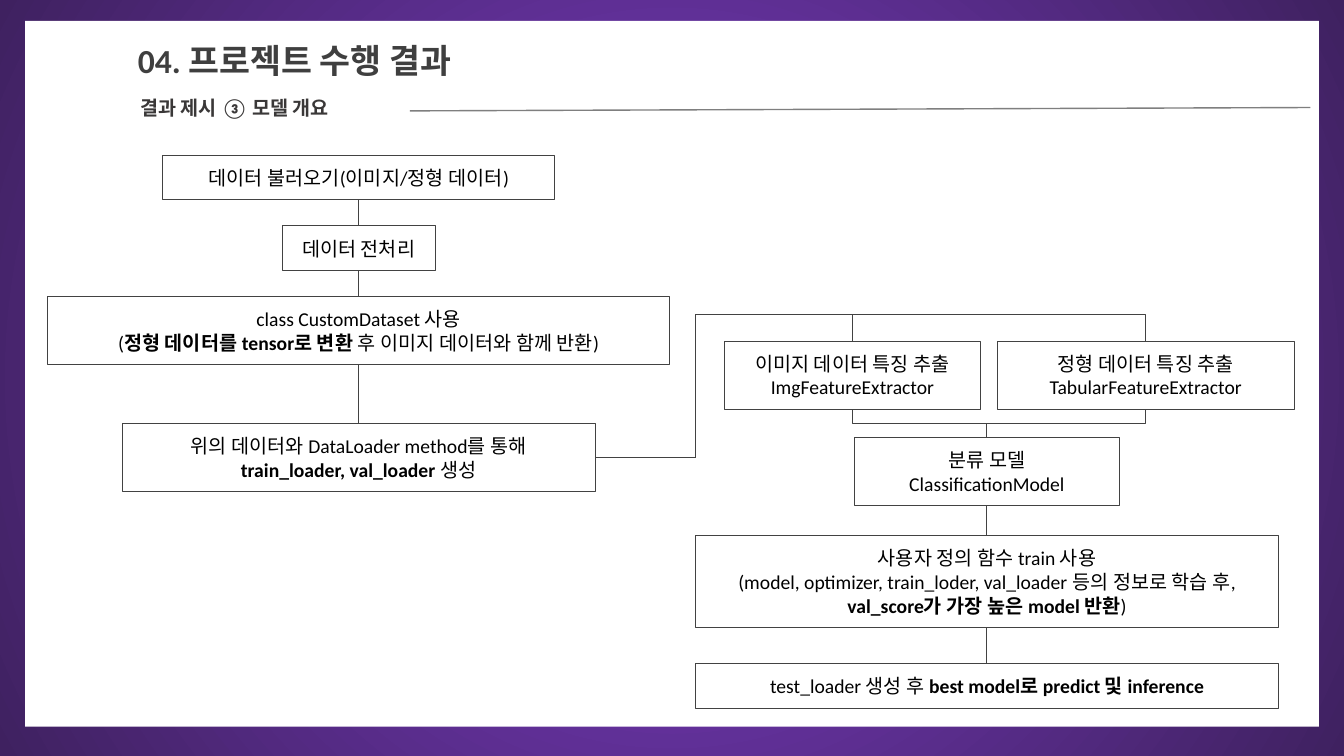
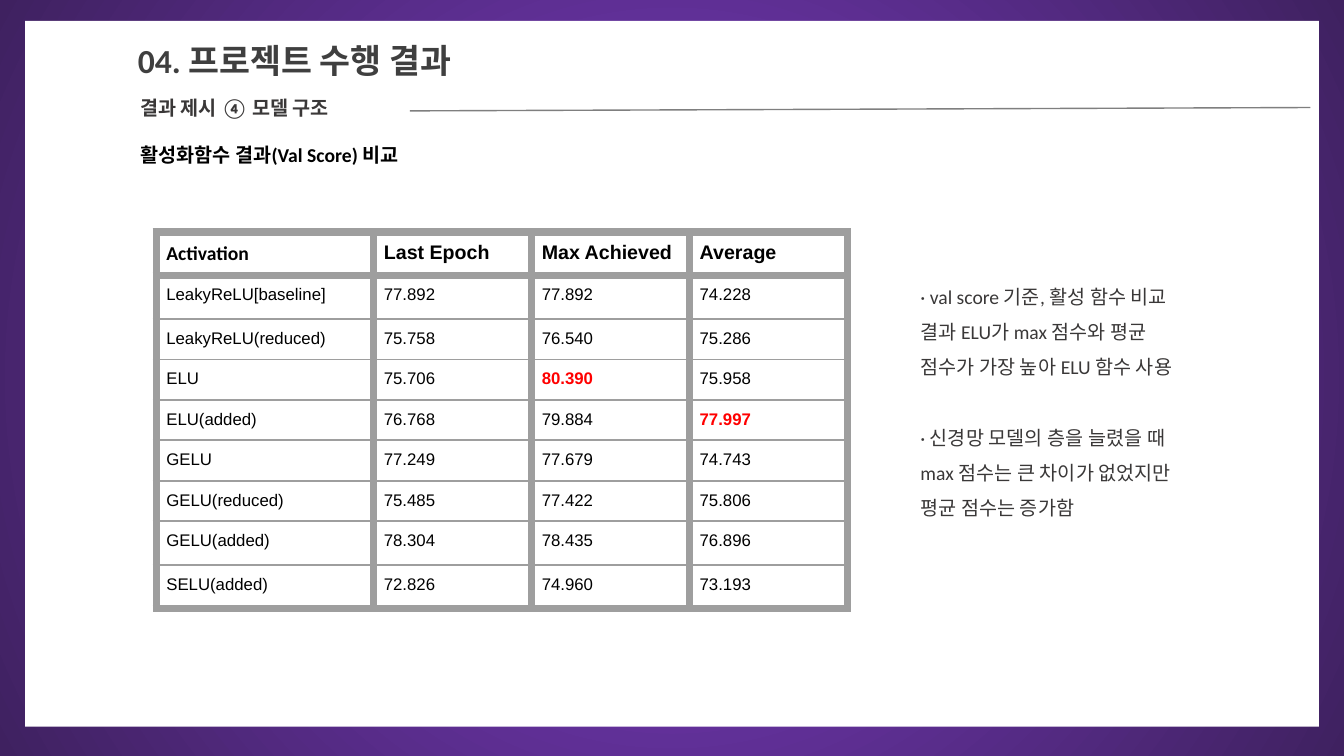
import pptx
import pptx.dml.color
import pptx.enum.shapes
import pptx.enum.text
import pptx.oxml
import pptx.oxml.ns
import pptx.util

RGB = pptx.dml.color.RGBColor
WHITE = RGB(0xFF, 0xFF, 0xFF)
BLACK = RGB(0, 0, 0)
RED = RGB(0xFF, 0, 0)
VIOLET = RGB(0x7E, 0x3D, 0xC8)
PLUM = RGB(0x3F, 0x21, 0x60)
TITLE = RGB(0x3F, 0x3F, 0x3F)
INK = RGB(0x3A, 0x38, 0x38)
EDGE = RGB(0x42, 0x42, 0x42)
RULE = RGB(0x7F, 0x7F, 0x7F)
GRID = RGB(0x9E, 0x9E, 0x9E)

Inches, Pt = pptx.util.Inches, pptx.util.Pt
Align = pptx.enum.text.PP_ALIGN
Anchor = pptx.enum.text.MSO_ANCHOR
Link = pptx.enum.shapes.MSO_CONNECTOR
RECT = pptx.enum.shapes.MSO_SHAPE.RECTANGLE
qn = pptx.oxml.ns.qn
TOP, LEFT, BOTTOM, RIGHT = range(4)
COLS, ROWS = 160, 90


def xml(tag, inner="", **attrs):
    names = "".join(f' {key}="{value}"' for key, value in attrs.items())
    space = pptx.oxml.ns.nsdecls("a")
    return pptx.oxml.parse_xml(f"<a:{tag} {space}{names}>{inner}</a:{tag}>")


def write(frame, *lines, size=14, font="Calibri", color=BLACK, bold=False,
          align=Align.LEFT, anchor=Anchor.TOP, pad=0.1, pitch=None, gap=0):
    """Fill a text frame, one paragraph a line; ** switches bold on and off."""
    frame.word_wrap = True
    frame.vertical_anchor = anchor
    frame.margin_left = frame.margin_right = Inches(0.1)
    frame.margin_top = frame.margin_bottom = Inches(pad)
    for i, line in enumerate(lines):
        para = frame.add_paragraph() if i else frame.paragraphs[0]
        para.alignment = align
        if pitch:
            para.line_spacing = pitch
        if i and gap:
            para.space_before = Pt(gap)
        for j, part in enumerate(line.split("**")):
            if not part:
                continue
            run = para.add_run()
            run.text = part
            run.font.size = Pt(size)
            run.font.bold = bold or j % 2 == 1
            run.font.color.rgb = color
            run.font.name = font
            run.font._element.append(xml("ea", typeface=font))


class Deck:
    """Slides on a grid of COLS by ROWS, with one shared style."""

    def __init__(self):
        self.show = pptx.Presentation()
        self.show.slide_width = Inches(13.33)
        self.show.slide_height = Inches(7.5)
        self.slide = None

    def x(self, cols):
        return round(self.show.slide_width * cols / COLS)

    def y(self, rows):
        return round(self.show.slide_height * rows / ROWS)

    def area(self, left, top, width, height):
        return self.x(left), self.y(top), self.x(width), self.y(height)

    def page(self, title, topic):
        """Start a slide with its backdrop, panel, title, topic and rule."""
        self.slide = self.show.slides.add_slide(self.show.slide_layouts[5])
        fill = self.slide.background.fill
        fill.gradient()
        for stop, color in zip(fill.gradient_stops, (VIOLET, PLUM)):
            stop.color.rgb = color
        grad = self.slide._element.find(".//" + qn("a:gradFill"))
        grad.replace(grad.find(qn("a:lin")), xml(
            "path", '<a:fillToRect l="50000" t="50000" r="50000" b="50000"/>',
            path="circle"))

        panel = self.rect(3, 2.5, 154, 84)
        panel.fill.solid()
        panel.fill.fore_color.rgb = WHITE
        panel.line.fill.background()
        self.slide.shapes._spTree.insert(2, panel._element)

        head = self.slide.shapes.title
        head.left, head.top, head.width, head.height = self.area(15.2, 4.1, 58, 6)
        head.text_frame.auto_size = pptx.enum.text.MSO_AUTO_SIZE.NONE
        write(head.text_frame, title, size=24, color=TITLE, bold=True, pad=0.05)
        self.note(15.5, 10.8, 36.6, 4, topic, color=INK, bold=True, pad=0.05)
        rule = self.slide.shapes.add_connector(
            Link.STRAIGHT, self.x(48.8), self.y(13.2), self.x(156), self.y(12.8))
        self.stroke(rule, RULE, 1)

    def rect(self, left, top, width, height):
        shape = self.slide.shapes.add_shape(RECT, *self.area(left, top, width, height))
        shape.shadow.inherit = False
        return shape

    def note(self, left, top, width, height, *lines, **style):
        box = self.slide.shapes.add_textbox(*self.area(left, top, width, height))
        write(box.text_frame, *lines, **style)

    def step(self, mid, top, width, *lines, rows=None):
        """Draw a flow box centred on column mid, as tall as its text rows."""
        tall = 2.5 + 2.8 * (rows or len(lines))
        box = self.rect(mid - width / 2, top, width, tall)
        box.fill.background()
        box.line.color.rgb = EDGE
        box.line.width = Pt(0.75)
        write(box.text_frame, *lines, align=Align.CENTER, anchor=Anchor.MIDDLE)
        return box

    def stroke(self, line, color=EDGE, width=0.75):
        line.line.color.rgb = color
        line.line.width = Pt(width)
        line._element.spPr.append(xml("effectLst"))

    def join(self, kind, start, end, side=BOTTOM):
        """Connect a side of start to the top of end."""
        line = self.slide.shapes.add_connector(kind, 0, 0, 0, 0)
        line.begin_connect(start, side)
        line.end_connect(end, TOP)
        self.stroke(line)
        return line

    def drop(self, start, end):
        """Elbow that leaves downwards, runs across and enters from above."""
        line = self.join(Link.ELBOW, start, end)
        x1, y1, x2, y2 = line.begin_x, line.begin_y, line.end_x, line.end_y
        wide, tall = y2 - y1, abs(x2 - x1)
        frame = line._element.spPr.find(qn("a:xfrm"))
        for flip in ("flipH", "flipV"):
            frame.attrib.pop(flip, None)
        line.left, line.top = (x1 + x2 - wide) // 2, (y1 + y2 - tall) // 2
        line.width, line.height = wide, tall
        frame.set("rot", str((270 if x2 > x1 else 90) * 60000))
        if x2 > x1:
            frame.set("flipH", "1")

    def climb(self, start, end, col, row):
        """Elbow from the right side up column col, then along row into a top."""
        line = self.join(Link.ELBOW, start, end, RIGHT)
        across = (self.x(col) - line.begin_x) / (line.end_x - line.begin_x)
        up = (self.y(row) - line.begin_y) / (line.end_y - line.begin_y)
        form = line._element.spPr.find(qn("a:prstGeom"))
        form.set("prst", "bentConnector4")
        bends = form.find(qn("a:avLst"))
        if bends is None:
            bends = xml("avLst")
            form.append(bends)
        for i, share in enumerate((across, up), 1):
            bends.append(xml("gd", name=f"adj{i}", fmla=f"val {round(share * 100000)}"))

    def table(self, left, top, cols, rows, data, marks):
        """Draw a ruled table; marks holds the (row, column) cells in red."""
        frame = self.slide.shapes.add_table(
            len(rows), len(cols), *self.area(left, top, sum(cols), sum(rows)))
        grid = frame.table
        grid.first_row = grid.horz_banding = False
        for col, width in zip(grid.columns, cols):
            col.width = self.x(width)
        last = len(rows) - 1
        for r, values in enumerate(data):
            grid.rows[r].height = self.y(rows[r])
            for c, value in enumerate(values):
                cell, mark = grid.cell(r, c), (r, c) in marks
                write(cell.text_frame, value, size=12 if r else 14,
                      font="Arial" if r or c else "Calibri",
                      color=RED if mark else BLACK, bold=mark or r == 0)
                cell.margin_left = cell.margin_right = Inches(0.1)
                cell.margin_top = cell.margin_bottom = Inches(0.1)
                cell.vertical_anchor = Anchor.TOP
                cell.fill.background()
                self.border(cell, L=6, R=6, T=6 if r < 2 else 1.5,
                            B=6 if r in (0, last) else 1.5)

    def border(self, cell, **sides):
        paint = f'<a:solidFill><a:srgbClr val="{GRID}"/></a:solidFill>'
        props = cell._tc.get_or_add_tcPr()
        for i, (side, width) in enumerate(sides.items()):
            props.insert(i, xml("ln" + side, paint, w=Pt(width)))


def flow(deck):
    deck.page("04. 프로젝트 수행 결과", "결과 제시 ③ 모델 개요")
    west, east = 42.7, 117.5
    load = deck.step(west, 18.5, 46.6, "데이터 불러오기(이미지/정형 데이터)")
    prep = deck.step(west, 26.9, 18.2, "데이터 전처리")
    data = deck.step(west, 35.3, 74, "class CustomDataset 사용",
                     "(**정형 데이터를 tensor로 변환** 후 이미지 데이터와 함께 반환)")
    batch = deck.step(west, 50.4, 56.3, "위의 데이터와 DataLoader method를 통해",
                      "**train_loader, val_loader** 생성")
    image = deck.step(101.5, 40.6, 30.5, "이미지 데이터 특징 추출", "ImgFeatureExtractor")
    tab = deck.step(136.4, 40.6, 35.4, "정형 데이터 특징 추출", "TabularFeatureExtractor")
    model = deck.step(east, 52.1, 31.6, "분류 모델", "ClassificationModel")
    train = deck.step(east, 63.8, 69.5, "사용자 정의 함수 train 사용",
                      "(model, optimizer, train_loder, val_loader 등의 정보로 학습 후, "
                      "**val_score가 가장 높은 model 반환**)", rows=3)
    test = deck.step(east, 79, 69.5,
                     "test_loader 생성 후 **best model로 predict 및 inference**")
    for start, end in ((load, prep), (prep, data), (data, batch),
                       (model, train), (train, test)):
        deck.join(Link.STRAIGHT, start, end)
    for part in (image, tab):
        deck.climb(batch, part, 82.8, 37.4)
        deck.drop(part, model)


def scores(deck):
    deck.page("04. 프로젝트 수행 결과", "결과 제시 ④ 모델 구조")
    deck.note(15.5, 15.8, 74.6, 5.3, "활성화함수 결과(Val Score) 비교", bold=True)
    data = [
        ("Activation", "Last Epoch", "Max Achieved", "Average"),
        ("LeakyReLU[baseline]", "77.892", "77.892", "74.228"),
        ("LeakyReLU(reduced)", "75.758", "76.540", "75.286"),
        ("ELU", "75.706", "80.390", "75.958"),
        ("ELU(added)", "76.768", "79.884", "77.997"),
        ("GELU", "77.249", "77.679", "74.743"),
        ("GELU(reduced)", "75.485", "77.422", "75.806"),
        ("GELU(added)", "78.304", "78.435", "76.896"),
        ("SELU(added)", "72.826", "74.960", "73.193"),
    ]
    deck.table(18.6, 27.6, [25.9] + [18.8] * 3, [5.2] * 2 + [4.8] * 5 + [5.2] * 2,
               data, marks={(3, 2), (4, 3)})
    deck.note(108.4, 31.9, 35.8, 29.5,
              "· val score 기준, 활성 함수 비교 결과 ELU가 max 점수와 평균 점수가 "
              "가장 높아 ELU 함수 사용",
              "· 신경망 모델의 층을 늘렸을 때 max 점수는 큰 차이가 없었지만 "
              "평균 점수는 증가함",
              color=INK, pad=0.05, pitch=1.5, gap=25)


def main():
    deck = Deck()
    flow(deck)
    scores(deck)
    deck.show.save("out.pptx")


if __name__ == "__main__":
    main()
